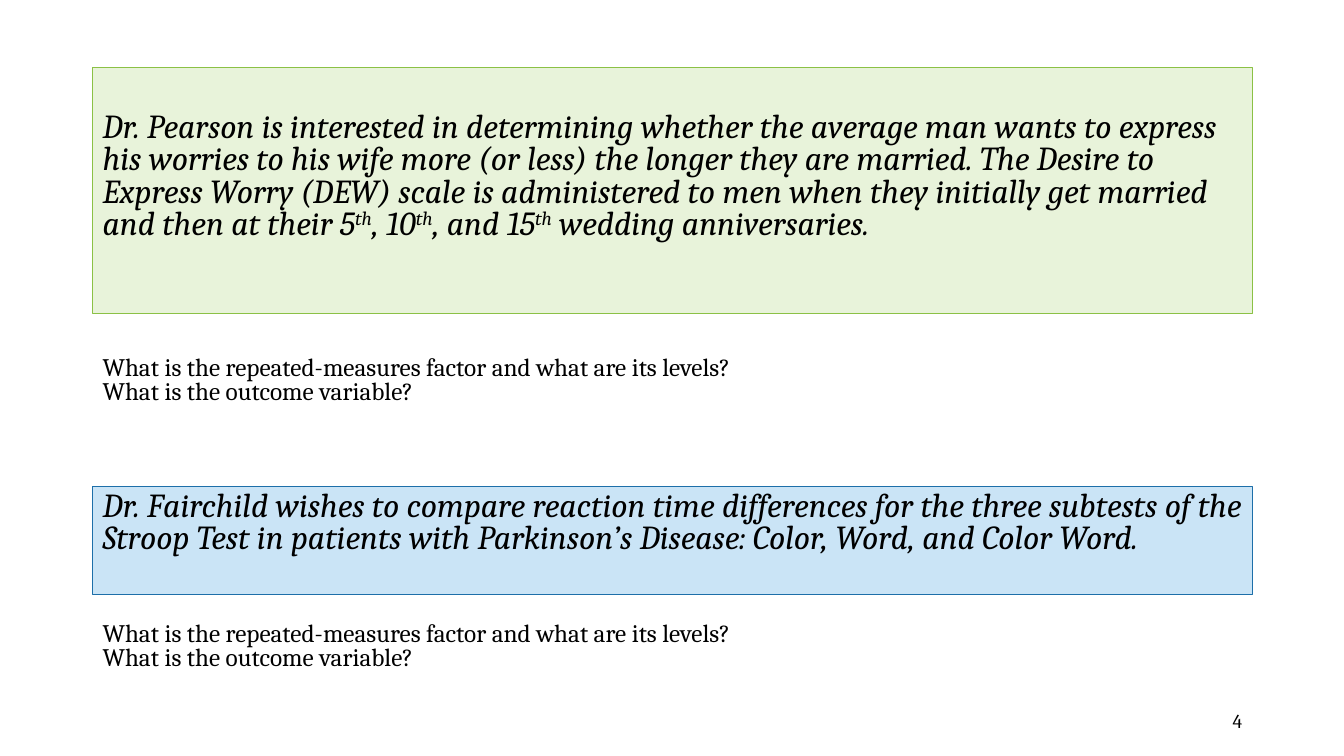
"""Build a slide with two repeated-measures study scenarios and their questions."""
from pptx import Presentation
from pptx.dml.color import RGBColor
from pptx.enum.shapes import MSO_SHAPE
from pptx.enum.text import MSO_ANCHOR, PP_ALIGN
from pptx.util import Pt

PX = 9144
THEME = {
    "font": "Cambria",
    "ink": RGBColor.from_string("000000"),
    "green": ("E8F3DA", "8BC145"),
    "blue": ("CAE4F6", "1D6FA9"),
    "scenario": 24,
    "question": 18,
    "number": 14,
}
LEFT, SCENARIO_WIDTH = 92, 1150


def add_text(frame, text, size, italic=False, align=PP_ALIGN.LEFT,
             anchor=MSO_ANCHOR.TOP, spacing=0.8, top_inset=5):
    """Write lines of text; every second part between carets is superscript."""
    frame.word_wrap = True
    frame.vertical_anchor = anchor
    frame.margin_top = top_inset * PX
    for index, line in enumerate(text.split("\n")):
        paragraph = frame.paragraphs[0] if index == 0 else frame.add_paragraph()
        paragraph.alignment = align
        paragraph.line_spacing = spacing
        for position, part in enumerate(line.split("^")):
            run = paragraph.add_run()
            run.text = part
            run.font.name = THEME["font"]
            run.font.size = Pt(size)
            run.font.italic = italic
            run.font.color.rgb = THEME["ink"]
            if position % 2:
                run.font._element.set("baseline", "30000")


presentation = Presentation()
presentation.slide_width = 1333 * PX
presentation.slide_height = 750 * PX
slide = presentation.slides.add_slide(presentation.slide_layouts[6])

marriage_study = (
    "Dr. Pearson is interested in determining whether the average man wants to "
    "express his worries to his wife more (or less) the longer they are married. "
    "The Desire to Express Worry (DEW) scale is administered to men when they "
    "initially get married and then at their 5^th^, 10^th^, and 15^th^ wedding "
    "anniversaries."
)
stroop_study = (
    "Dr. Fairchild wishes to compare reaction time differences for the three "
    "subtests of the Stroop Test in patients with Parkinson’s Disease: Color, "
    "Word, and Color Word."
)
questions = (
    "What is the repeated-measures factor and what are its levels?\n"
    "What is the outcome variable?"
)

studies = [
    (marriage_study, "green", 67, 244, 45, 349, 783),
    (stroop_study, "blue", 483, 107, 5, 613, 996),
]
for study, palette, top, height, inset, questions_top, questions_width in studies:
    fill, outline = THEME[palette]
    scenario = slide.shapes.add_shape(
        MSO_SHAPE.RECTANGLE, LEFT * PX, top * PX, SCENARIO_WIDTH * PX, height * PX)
    scenario.shadow.inherit = False
    scenario.fill.solid()
    scenario.fill.fore_color.rgb = RGBColor.from_string(fill)
    scenario.line.color.rgb = RGBColor.from_string(outline)
    scenario.line.width = Pt(0.75)
    add_text(scenario.text_frame, study, THEME["scenario"], italic=True,
             top_inset=inset)

    prompt = slide.shapes.add_textbox(
        LEFT * PX, questions_top * PX, questions_width * PX, 59 * PX)
    add_text(prompt.text_frame, questions, THEME["question"])

page_number = slide.shapes.add_textbox(942 * PX, 695 * PX, 300 * PX, 40 * PX)
add_text(page_number.text_frame, "4", THEME["number"], align=PP_ALIGN.RIGHT,
         anchor=MSO_ANCHOR.MIDDLE, spacing=1.0)

presentation.save("out.pptx")
